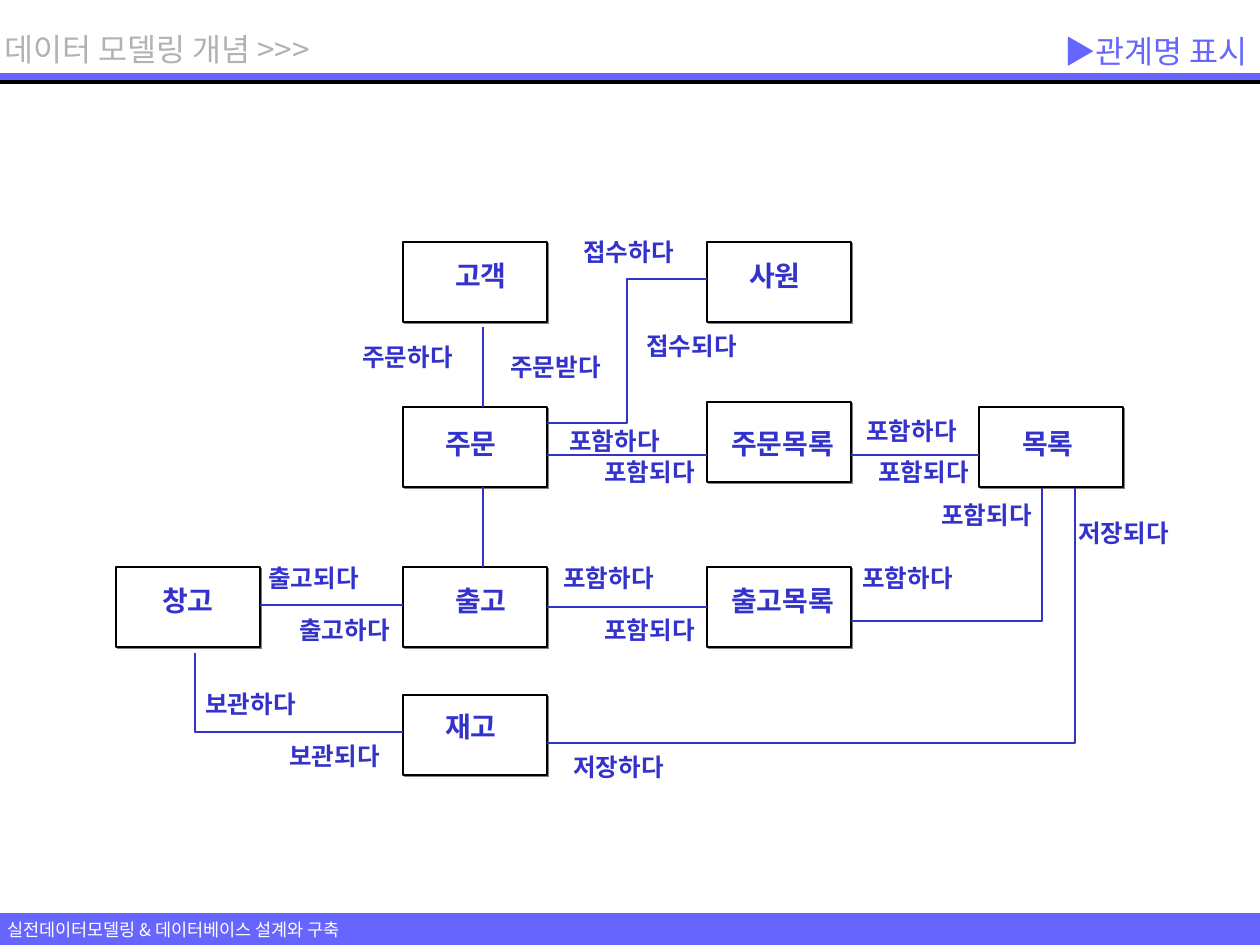
from pptx import Presentation
from pptx.dml.color import RGBColor
from pptx.enum.shapes import MSO_CONNECTOR, MSO_SHAPE
from pptx.enum.text import MSO_ANCHOR, MSO_AUTO_SIZE, PP_ALIGN
from pptx.oxml import parse_xml
from pptx.oxml.ns import nsdecls, qn
from pptx.util import Emu, Pt
from lxml.etree import SubElement

FONT = "Noto Sans CJK KR"
BLUE = RGBColor(0x33, 0x33, 0xCC)
BAR = RGBColor(0x66, 0x66, 0xFF)
GRAY = RGBColor(0xB2, 0xB2, 0xB2)
BLACK = RGBColor(0, 0, 0)
WHITE = RGBColor(0xFF, 0xFF, 0xFF)
BOX_W, BOX_H = 144, 80

# Entities: name, box left, box top, name left, name top
ENTITIES = [
    ("사원", 707, 242, 737, 252),
    ("고객", 403, 242, 443, 252),
    ("주문", 403, 407, 433, 420),
    ("주문목록", 707, 402, 719, 420),
    ("목록", 979, 407, 1010, 420),
    ("출고목록", 707, 567, 719, 577),
    ("출고", 403, 567, 443, 577),
    ("재고", 403, 695, 433, 703),
    ("창고", 116, 567, 150, 577),
]

# Relationship names: text, left, top
LABELS = [
    ("주문하다", 350, 336), ("주문받다", 498, 346),
    ("접수하다", 571, 231), ("접수되다", 634, 325),
    ("포함하다", 557, 420), ("포함되다", 592, 451),
    ("포함하다", 854, 410), ("포함되다", 866, 451),
    ("포함되다", 929, 494), ("포함하다", 850, 557),
    ("포함되다", 592, 609), ("포함하다", 551, 557),
    ("출고되다", 256, 557), ("출고하다", 287, 609),
    ("보관하다", 193, 683), ("보관되다", 277, 735),
    ("저장하다", 561, 746), ("저장되다", 1066, 512),
]

# Straight and bent relationship lines
LINES = [
    (260, 605, 403, 605),
    (483, 327, 483, 407),
    (547, 455, 707, 455),
    (851, 455, 979, 455),
    (483, 487, 483, 567),
]
BENDS = [
    [(195, 653), (195, 732), (403, 732)],
    [(707, 279), (627, 279), (627, 423), (547, 423)],
    [(1042, 488), (1042, 621), (851, 621)],
    [(1075, 488), (1075, 743), (547, 743)],
]


def px(n):
    return Emu(round(n * 914400 / 126))


prs = Presentation()
prs.slide_width, prs.slide_height = px(1260), px(945)
shapes = prs.slides.add_slide(prs.slide_layouts[6]).shapes


def add_rect(x, y, w, h, fill):
    rect = shapes.add_shape(MSO_SHAPE.RECTANGLE, px(x), px(y), px(w), px(h))
    rect.shadow.inherit = False
    rect.fill.solid()
    rect.fill.fore_color.rgb = fill
    rect.line.fill.background()
    return rect


def add_line(x1, y1, x2, y2, color=BLUE, width=1):
    line = shapes.add_connector(
        MSO_CONNECTOR.STRAIGHT, px(x1), px(y1), px(x2), px(y2))
    line.line.color.rgb = color
    line.line.width = Pt(width)
    SubElement(line._element.spPr, qn("a:effectLst"))
    return line


def add_text(text, x, y, w, h, size, color, bold=False):
    box = shapes.add_textbox(px(x), px(y), px(w), px(h))
    frame = box.text_frame
    frame.word_wrap = False
    frame.auto_size = MSO_AUTO_SIZE.SHAPE_TO_FIT_TEXT
    run = frame.paragraphs[0].add_run()
    run.text = text
    font = run.font
    font.size, font.bold, font.name = Pt(size), bold, FONT
    font.color.rgb = color
    SubElement(run._r.get_or_add_rPr(), qn("a:ea")).set("typeface", FONT)
    return frame


def add_entity(x, y):
    box = add_rect(x, y, BOX_W, BOX_H, WHITE)
    box.line.color.rgb = BLACK
    box.line.width = Pt(0.75)
    effects = box._element.spPr.find(qn("a:effectLst"))
    effects.append(parse_xml(
        f'<a:outerShdw {nsdecls("a")} dist="17780" dir="2700000">'
        '<a:srgbClr val="808080"/></a:outerShdw>'))
    return box


# Header and footer
add_rect(0, 913, 1260, 32, BAR)
add_rect(0, 73, 1260, 8, BAR)
for y in (81, 82, 83):
    add_line(0, y, 1260, y, BLACK, 0.75)
add_text("실전데이터모델링 & 데이터베이스 설계와 구축", -5, 913, 396, 34, 10, WHITE)
add_text("데이터 모델링 개념 >>>", -8, 24, 358, 50, 18, GRAY)
title = add_text("▶관계명 표시", 630, 24, 630, 54, 18, BAR)
title.auto_size = MSO_AUTO_SIZE.NONE
title.vertical_anchor = MSO_ANCHOR.MIDDLE
title.paragraphs[0].alignment = PP_ALIGN.RIGHT

# Entity boxes
boxes = {name: add_entity(x, y) for name, x, y, _, _ in ENTITIES}

# Relationship lines
for ends in LINES:
    add_line(*ends)
joined = add_line(547, 607, 707, 607)
joined.begin_connect(boxes["출고"], 3)
joined.end_connect(boxes["출고목록"], 1)
for start, *rest in BENDS:
    pen = shapes.build_freeform(*start, scale=914400 / 126)
    pen.add_line_segments(rest, close=False)
    bend = pen.convert_to_shape()
    bend.shadow.inherit = False
    bend.fill.background()
    bend.line.color.rgb = BLUE
    bend.line.width = Pt(1)

# Entity and relationship names
for name, _, _, x, y in ENTITIES:
    add_text(name, x, y, 26 + 25.5 * len(name), 47, 16, BLUE, True)
for name, x, y in LABELS:
    add_text(name, x, y, 116, 43, 14, BLUE, True)

prs.save("out.pptx")
